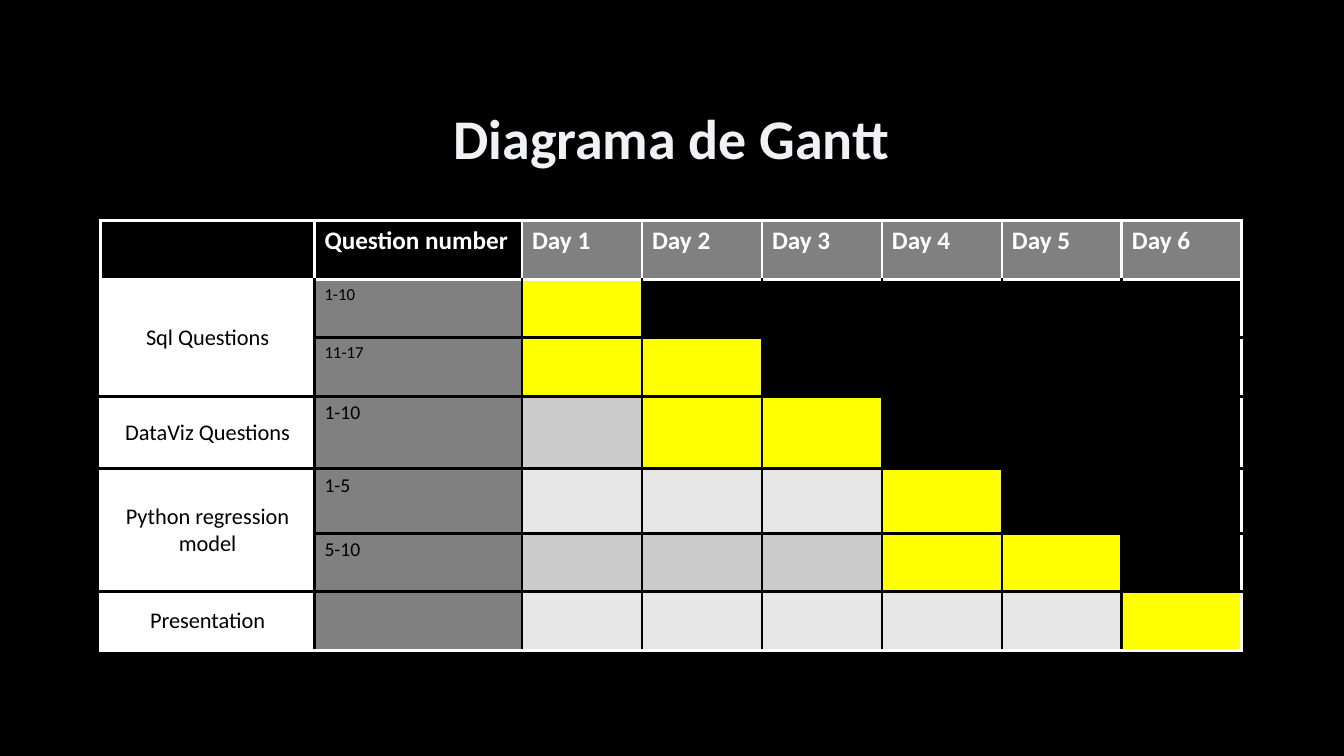
from pptx import Presentation
from pptx.dml.color import RGBColor
from pptx.enum.text import MSO_ANCHOR, PP_ALIGN
from pptx.oxml import parse_xml
from pptx.oxml.ns import nsdecls
from pptx.util import Pt

HUES = {"black": "000000", "white": "FFFFFF", "grey": "808080", "bar": "FFFF00",
        "dark": "CCCCCC", "light": "E7E7E7", "title": "F0F2F3", "edge": "404040"}
DAYS = 6
HEADS = ["", "Question number"] + [f"Day {day}" for day in range(1, DAYS + 1)]
TASKS = [
    ("Sql Questions", "1-10", 12, 1, 1),
    ("", "11-17", 12, 1, 2),
    ("DataViz Questions", "1-10", 14, 2, 3),
    ("Python regression model", "1-5", 14, 4, 4),
    ("", "5-10", 14, 4, 5),
    ("Presentation", "", 14, 6, 6),
]
WIDTHS = [152.6, 148.3] + [85.7] * DAYS
HEIGHTS = [41.8, 41.8, 41.8, 51.8, 46.1, 41.8, 41.8]


def write(frame, text, size=18, hue="black", bold=False, align=PP_ALIGN.LEFT):
    """Put one formatted run in a text frame and return it."""
    par = frame.paragraphs[0]
    par.alignment = align
    run = par.add_run()
    run.text = text
    font = run.font
    font.name, font.size, font.bold = "Calibri", Pt(size), bold
    font.color.rgb = RGBColor.from_string(HUES[hue])
    return run


def add_title(slide, text):
    """Add the centred title with its faint outline."""
    box = slide.shapes.add_textbox(Pt(72), Pt(48.2), Pt(815), Pt(99.4))
    frame = box.text_frame
    frame.word_wrap = True
    frame.vertical_anchor = MSO_ANCHOR.MIDDLE
    run = write(frame, text, size=40, hue="title", bold=True, align=PP_ALIGN.CENTER)
    run.font._element.insert(0, parse_xml(
        f'<a:ln {nsdecls("a")} w="{Pt(0.75)}"><a:solidFill><a:srgbClr val="{HUES["edge"]}">'
        '<a:alpha val="10000"/></a:srgbClr></a:solidFill></a:ln>'))


def add_edges(cell, row, col):
    """Draw white edges on the head and outer rim, black ones inside."""
    rim = {"L": col == 0, "R": col == len(WIDTHS) - 1,
           "T": row == 1, "B": row == len(TASKS)}
    for side, outer in rim.items():
        hue = HUES["white" if row == 0 or outer else "black"]
        cell._tc.get_or_add_tcPr().append(parse_xml(
            f'<a:ln{side} {nsdecls("a")} w="{Pt(2.25)}"><a:solidFill>'
            f'<a:srgbClr val="{hue}"/></a:solidFill></a:ln{side}>'))


def paint(cell, hue):
    """Fill a cell, or leave it clear when no hue is given."""
    if hue:
        cell.fill.solid()
        cell.fill.fore_color.rgb = RGBColor.from_string(HUES[hue])
    else:
        cell.fill.background()


def pick_hue(row, col):
    """Choose the fill of a cell from its place in the plan."""
    if row == 0:
        return "black" if col < 2 else "grey"
    if col < 2:
        return ("white", "grey")[col]
    day = col - 1
    start, end = TASKS[row - 1][3:]
    if day < start:
        return "dark" if row % 2 else "light"
    return "bar" if day <= end else None


def add_gantt(slide):
    """Add the table of tasks and days."""
    table = slide.shapes.add_table(len(HEIGHTS), len(WIDTHS), Pt(72), Pt(157.7),
                                   Pt(sum(WIDTHS)), Pt(sum(HEIGHTS))).table
    table.first_row = table.horz_banding = False
    for column, width in zip(table.columns, WIDTHS):
        column.width = Pt(width)
    for line, height in zip(table.rows, HEIGHTS):
        line.height = Pt(height)
    for row in range(len(HEIGHTS)):
        for col in range(len(WIDTHS)):
            cell = table.cell(row, col)
            add_edges(cell, row, col)
            paint(cell, pick_hue(row, col))
    for col, head in enumerate(HEADS):
        if head:
            write(table.cell(0, col).text_frame, head, hue="white", bold=True)
    for row, (task, span, size, *_) in enumerate(TASKS, 1):
        if span:
            write(table.cell(row, 1).text_frame, span, size=size)
        cell = table.cell(row, 0)
        if task:
            cell.vertical_anchor = MSO_ANCHOR.MIDDLE
            write(cell.text_frame, task, size=16, align=PP_ALIGN.CENTER)
        else:
            table.cell(row - 1, 0).merge(cell)


def main():
    """Build the slide and save it."""
    deck = Presentation()
    deck.slide_width, deck.slide_height = Pt(960), Pt(540)
    slide = deck.slides.add_slide(deck.slide_layouts[6])
    back = slide.background.fill
    back.solid()
    back.fore_color.rgb = RGBColor.from_string(HUES["black"])
    add_title(slide, "Diagrama de Gantt")
    add_gantt(slide)
    deck.save("out.pptx")


if __name__ == "__main__":
    main()
